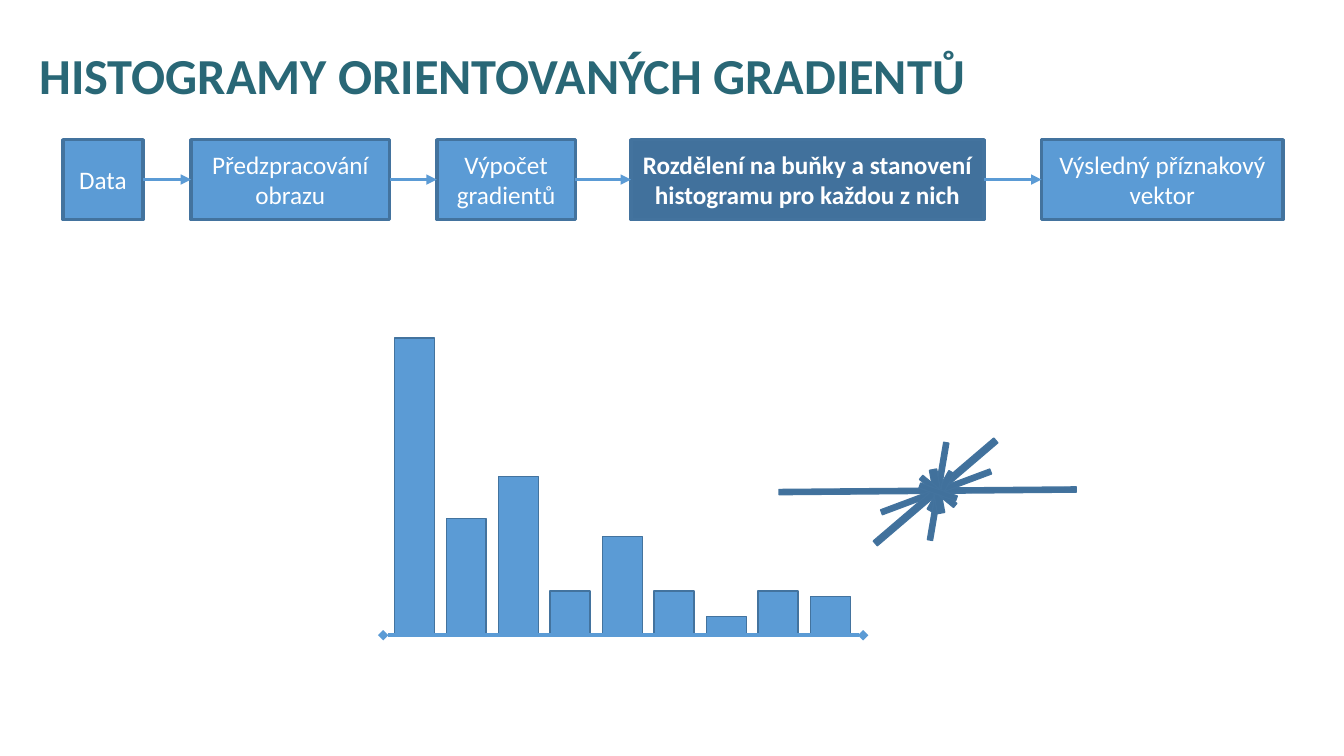
"""Build a slide on histograms of oriented gradients: process steps, bar histogram and star."""
from dataclasses import dataclass
from itertools import pairwise
from typing import Any, NamedTuple

from lxml import etree
from pptx import Presentation
from pptx.dml.color import RGBColor
from pptx.enum.shapes import MSO_CONNECTOR, MSO_SHAPE
from pptx.enum.text import MSO_ANCHOR, MSO_AUTO_SIZE, PP_ALIGN
from pptx.oxml.ns import qn
from pptx.util import Pt

PX = 9525
RECT = MSO_SHAPE.RECTANGLE
PROCESS = MSO_SHAPE.FLOWCHART_PROCESS
STRAIGHT = MSO_CONNECTOR.STRAIGHT
MIDDLE = MSO_ANCHOR.MIDDLE
FIXED = MSO_AUTO_SIZE.NONE
LEFT, CENTER = PP_ALIGN.LEFT, PP_ALIGN.CENTER


@dataclass(frozen=True)
class Theme:
    """Colours, font and sizes of the slide."""
    font: str = "Calibri"
    title: str = "296776"
    fill: str = "5B9BD5"
    dark: str = "41719C"
    edge: str = "43739E"
    white: str = "FFFFFF"
    head: int = 36
    body: int = 18
    thick: float = 2.5
    thin: float = 1


class Box(NamedTuple):
    """Place and size in px."""
    left: int
    top: int
    width: int
    height: int


class Step(NamedTuple):
    """One step of the process."""
    left: int
    width: int
    text: str
    strong: bool = False


class Bin(NamedTuple):
    """One histogram bin, with its ray's centre and width (0 for no ray)."""
    height: int
    x: int
    y: int
    width: int


THEME = Theme()
STEP_TOP, STEP_HIGH = 133, 76
STEPS = [
    Step(60, 76, "Data"),
    Step(182, 189, "Předzpracování\nobrazu"),
    Step(416, 132, "Výpočet\ngradientů"),
    Step(601, 336, "Rozdělení na buňky a stanovení histogramu pro každou z nich", True),
    Step(992, 230, "Výsledný příznakový vektor"),
]
BINS = [
    Bin(283, 883, 467, 5),
    Bin(111, 891, 468, 5),
    Bin(151, 891, 468, 6),
    Bin(42, 896, 468, 6),
    Bin(94, 893, 468, 5),
    Bin(42, 892, 468, 7),
    Bin(18, 893, 468, 0),
    Bin(42, 893, 468, 5),
    Bin(37, 893, 468, 5),
]
BASE = 605
BAR_LEFT, BAR_LAST, BAR_WIDE = 376, 772, 38
AXIS_LEFT, AXIS_RIGHT = 365, 822
TURN, TURN_STEP = 89.5, 20


def rgb(code: str) -> RGBColor:
    """Turn a hex code into a colour."""
    return RGBColor.from_string(code)


def apply(item: Any, form: dict[str, Any]) -> None:
    """Set each attribute of the item."""
    for name, value in form.items():
        setattr(item, name, value)


def place(box: Box) -> list[int]:
    """Scale a box to EMU."""
    return [side * PX for side in box]


def write(shape: Any, text: str, size: int, color: str, bold: bool,
          frame: dict[str, Any], para: dict[str, Any]) -> None:
    """Fill a shape with formatted text."""
    body = shape.text_frame
    body.text = text
    apply(body, {"word_wrap": True, "auto_size": FIXED, "vertical_anchor": MIDDLE} | frame)
    for item in body.paragraphs:
        apply(item, para)
        for run in item.runs:
            apply(run.font, {"name": THEME.font, "size": Pt(size), "bold": bold})
            run.font.color.rgb = rgb(color)


def block(shapes: Any, kind: Any, box: Box, fill: str, width: float) -> Any:
    """Draw a filled and outlined shape."""
    shape = shapes.add_shape(kind, *place(box))
    shape.shadow.inherit = False
    shape.fill.solid()
    shape.fill.fore_color.rgb = rgb(fill)
    shape.line.color.rgb = rgb(THEME.edge)
    shape.line.width = Pt(width)
    return shape


def link(shapes: Any, start: int, end: int, level: int, tips: dict[str, str]) -> Any:
    """Draw a level line with the given end tips."""
    line = shapes.add_connector(STRAIGHT, *place(Box(start, level, end, level)))
    line.line.color.rgb = rgb(THEME.fill)
    line.line.width = Pt(THEME.thick)
    stroke = line.line._get_or_add_ln()
    for tag, tip in tips.items():
        etree.SubElement(stroke, qn(tag), type=tip)
    etree.SubElement(line._element.spPr, qn("a:effectLst"))
    return line


def flow(shapes: Any) -> None:
    """Draw the steps and join neighbours with arrows."""
    drawn = []
    for step in STEPS:
        box = Box(step.left, STEP_TOP, step.width, STEP_HIGH)
        fill = THEME.dark if step.strong else THEME.fill
        shape = block(shapes, PROCESS, box, fill, THEME.thick)
        write(shape, step.text, THEME.body, THEME.white, step.strong,
              {"margin_left": 6 * PX, "margin_right": 6 * PX}, {"alignment": CENTER})
        drawn.append((step, shape))
    for (a, start), (b, end) in pairwise(drawn):
        line = link(shapes, a.left + a.width, b.left, STEP_TOP + STEP_HIGH // 2,
                    {"a:tailEnd": "triangle"})
        line.begin_connect(start, 3)
        line.end_connect(end, 1)


def chart(shapes: Any) -> None:
    """Draw the histogram bars on their axis."""
    for i, item in enumerate(BINS):
        left = BAR_LEFT + (BAR_LAST - BAR_LEFT) * i // (len(BINS) - 1)
        box = Box(left, BASE - item.height, BAR_WIDE, item.height)
        block(shapes, RECT, box, THEME.fill, THEME.thin)
    link(shapes, AXIS_LEFT, AXIS_RIGHT, BASE,
         {"a:headEnd": "diamond", "a:tailEnd": "diamond"})


def star(shapes: Any) -> None:
    """Draw each bin as a ray turned to its angle."""
    for i, item in enumerate(BINS):
        if item.width:
            box = Box(item.x - item.width // 2, item.y - item.height // 2,
                      item.width, item.height)
            ray = block(shapes, RECT, box, THEME.dark, THEME.thin)
            ray.rotation = TURN - TURN_STEP * i


def main() -> None:
    """Build and save the slide."""
    deck = Presentation()
    apply(deck, {"slide_width": 1280 * PX, "slide_height": 720 * PX})
    slide = deck.slides.add_slide(deck.slide_layouts[5])
    title = slide.shapes.title
    spot = place(Box(28, 20, 1194, 108))
    apply(title, dict(zip(("left", "top", "width", "height"), spot)))
    write(title, "HISTOGRAMY ORIENTOVANÝCH GRADIENTŮ", THEME.head, THEME.title, True,
          {}, {"alignment": LEFT, "line_spacing": 0.9})
    for draw in (flow, chart, star):
        draw(slide.shapes.add_group_shape().shapes)
    deck.save("out.pptx")


if __name__ == "__main__":
    main()
